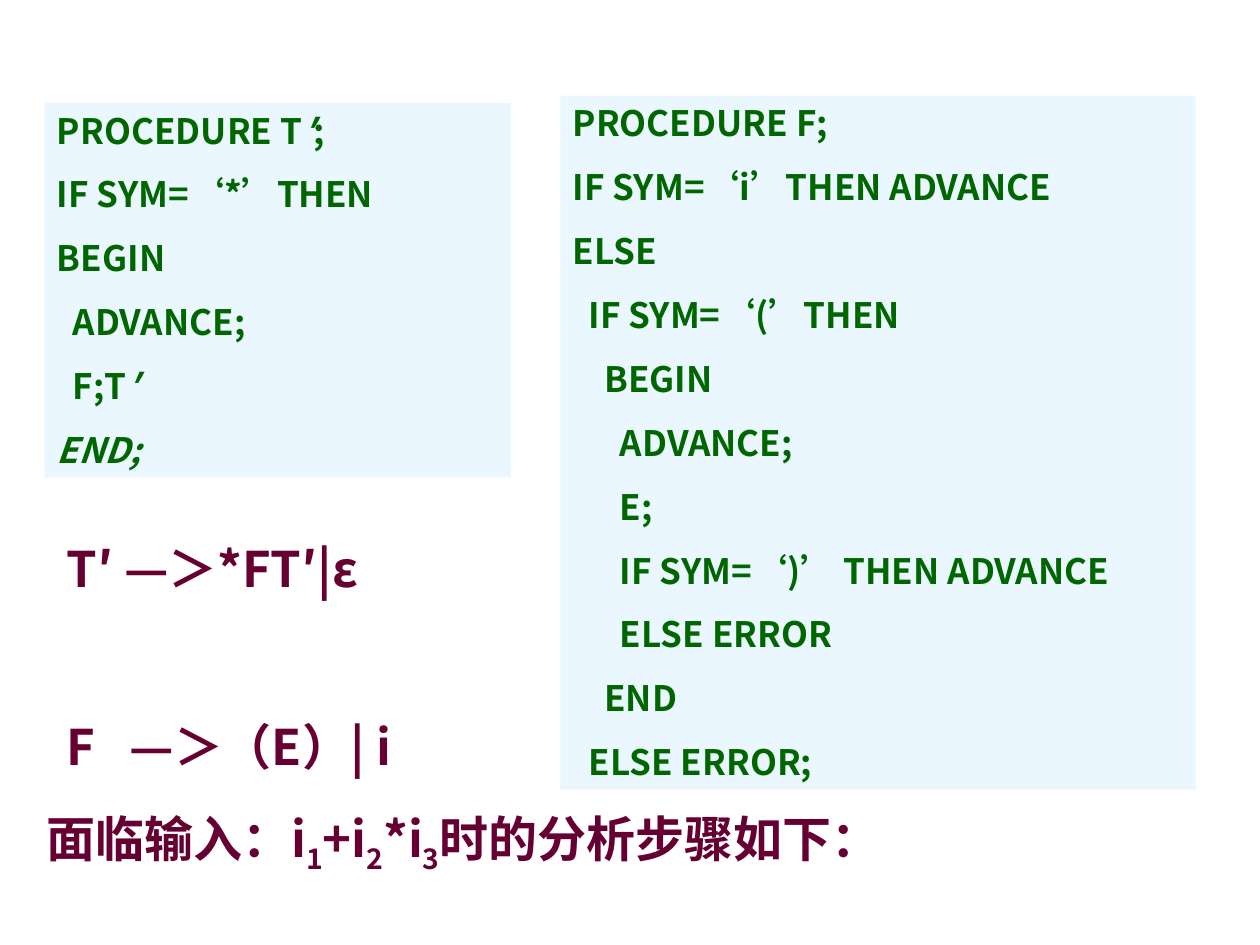
"""Build the slide with the recursive-descent procedures for T′ and F."""
from dataclasses import dataclass

import lxml.etree
import pptx
import pptx.dml.color
import pptx.enum.shapes
import pptx.enum.text
import pptx.oxml.ns
import pptx.shapes.autoshape
import pptx.slide
import pptx.text.text
import pptx.util


@dataclass(frozen=True)
class Theme:
    panel: str = "EBF7FF"
    code: str = "006600"
    grammar: str = "660033"
    code_size: float = 20
    grammar_size: float = 28
    chinese_font: str = "Noto Sans CJK SC"
    grammar_font: str = "Noto Sans CJK JP"
    line_height: float = 1.2
    space_before: float = 0.625
    indent_step: float = 9


@dataclass(frozen=True)
class Run:
    text: str
    italic: bool = False
    subscript: bool = False


@dataclass(frozen=True)
class Line:
    runs: tuple[Run, ...]
    level: int = 0
    space_before: float | None = None
    tab_stop: float | None = None


@dataclass(frozen=True)
class Block:
    left: float
    top: float
    width: float
    height: float
    lines: tuple[Line, ...]
    size: float
    color: str
    font: str
    fill: str | None = None


THEME = Theme()


def plain(text: str, level: int = 0) -> Line:
    """Return a line made of one unstyled run."""
    return Line((Run(text),), level)


PROCEDURE_T = (
    Line((Run("PROCEDURE T"), Run("′", italic=True), Run(";"))),
    plain("IF SYM=‘*’THEN"),
    plain("BEGIN"),
    plain("ADVANCE;", 1),
    Line((Run("F;T"), Run("′", italic=True)), 1),
    Line((Run("END;", italic=True),)),
)
PROCEDURE_F = (
    plain("PROCEDURE F;"),
    plain("IF SYM=‘i’THEN ADVANCE"),
    plain("ELSE"),
    plain("IF SYM=‘(’THEN", 1),
    plain("BEGIN", 2),
    plain("ADVANCE;", 3),
    plain("E;", 3),
    plain("IF SYM=‘)’ THEN ADVANCE", 3),
    plain("ELSE ERROR", 3),
    plain("END", 2),
    plain("ELSE ERROR;", 1),
)
INPUT_SENTENCE = (
    Line((
        Run("面临输入：i"), Run("1", subscript=True),
        Run("+i"), Run("2", subscript=True),
        Run("*i"), Run("3", subscript=True),
        Run("时的分析步骤如下："),
    )),
)
GRAMMAR_RULES = (
    plain("T′ —＞*FT′|ε"),
    Line((Run("F\t—＞（E）| i"),), space_before=68.5, tab_stop=47),
)

CODE_STYLE = (THEME.code_size, THEME.code, THEME.chinese_font, THEME.panel)
BLOCKS = (
    Block(25.5, 58.8, 266.4, 214, PROCEDURE_T, *CODE_STYLE),
    Block(320.2, 54.6, 363, 396.6, PROCEDURE_F, *CODE_STYLE),
    Block(19.5, 463, 663, 45.4, INPUT_SENTENCE,
          THEME.grammar_size, THEME.grammar, THEME.chinese_font),
    Block(31, 304, 244, 143.3, GRAMMAR_RULES,
          THEME.grammar_size, THEME.grammar, THEME.grammar_font),
)


def add_run(paragraph: pptx.text.text._Paragraph, run: Run, block: Block) -> None:
    """Add one styled run to a paragraph."""
    text_run = paragraph.add_run()
    text_run.text = run.text
    font = text_run.font
    font.size = pptx.util.Pt(block.size)
    font.bold = True
    font.italic = run.italic
    font.name = block.font
    font.color.rgb = pptx.dml.color.RGBColor.from_string(block.color)
    properties = text_run._r.get_or_add_rPr()
    if run.subscript:
        properties.set("baseline", "-25000")
    lxml.etree.SubElement(
        properties, pptx.oxml.ns.qn("a:ea"), typeface=block.font)


def fill_line(paragraph: pptx.text.text._Paragraph, line: Line, block: Block) -> None:
    """Set the spacing, indent and runs of one line."""
    space = line.space_before
    if space is None:
        space = block.size * THEME.space_before
    paragraph.alignment = pptx.enum.text.PP_ALIGN.LEFT
    paragraph.line_spacing = pptx.util.Pt(block.size * THEME.line_height)
    paragraph.space_before = pptx.util.Pt(space)
    properties = paragraph._p.get_or_add_pPr()
    properties.set("marL", str(pptx.util.Pt(line.level * THEME.indent_step)))
    properties.set("indent", "0")
    if line.tab_stop is not None:
        tabs = lxml.etree.SubElement(properties, pptx.oxml.ns.qn("a:tabLst"))
        lxml.etree.SubElement(
            tabs, pptx.oxml.ns.qn("a:tab"),
            pos=str(pptx.util.Pt(line.tab_stop)), algn="l")
    for run in line.runs:
        add_run(paragraph, run, block)


def add_holder(slide: pptx.slide.Slide, block: Block) -> pptx.shapes.autoshape.Shape:
    """Add a filled panel or a bare text box."""
    bounds = [pptx.util.Pt(length) for length in
              (block.left, block.top, block.width, block.height)]
    if block.fill is None:
        return slide.shapes.add_textbox(*bounds)
    shape = slide.shapes.add_shape(
        pptx.enum.shapes.MSO_SHAPE.RECTANGLE, *bounds)
    shape.shadow.inherit = False
    shape.fill.solid()
    shape.fill.fore_color.rgb = pptx.dml.color.RGBColor.from_string(block.fill)
    shape.line.fill.background()
    return shape


def add_block(slide: pptx.slide.Slide, block: Block) -> None:
    """Draw one block with all its lines."""
    frame = add_holder(slide, block).text_frame
    frame.word_wrap = True
    frame.vertical_anchor = pptx.enum.text.MSO_ANCHOR.TOP
    for index, line in enumerate(block.lines):
        paragraph = frame.add_paragraph() if index else frame.paragraphs[0]
        fill_line(paragraph, line, block)


def main() -> None:
    """Create and save the presentation."""
    presentation = pptx.Presentation()
    presentation.slide_width = pptx.util.Pt(720)
    presentation.slide_height = pptx.util.Pt(540)
    slide = presentation.slides.add_slide(presentation.slide_layouts[6])
    for block in BLOCKS:
        add_block(slide, block)
    presentation.save("out.pptx")


if __name__ == "__main__":
    main()
